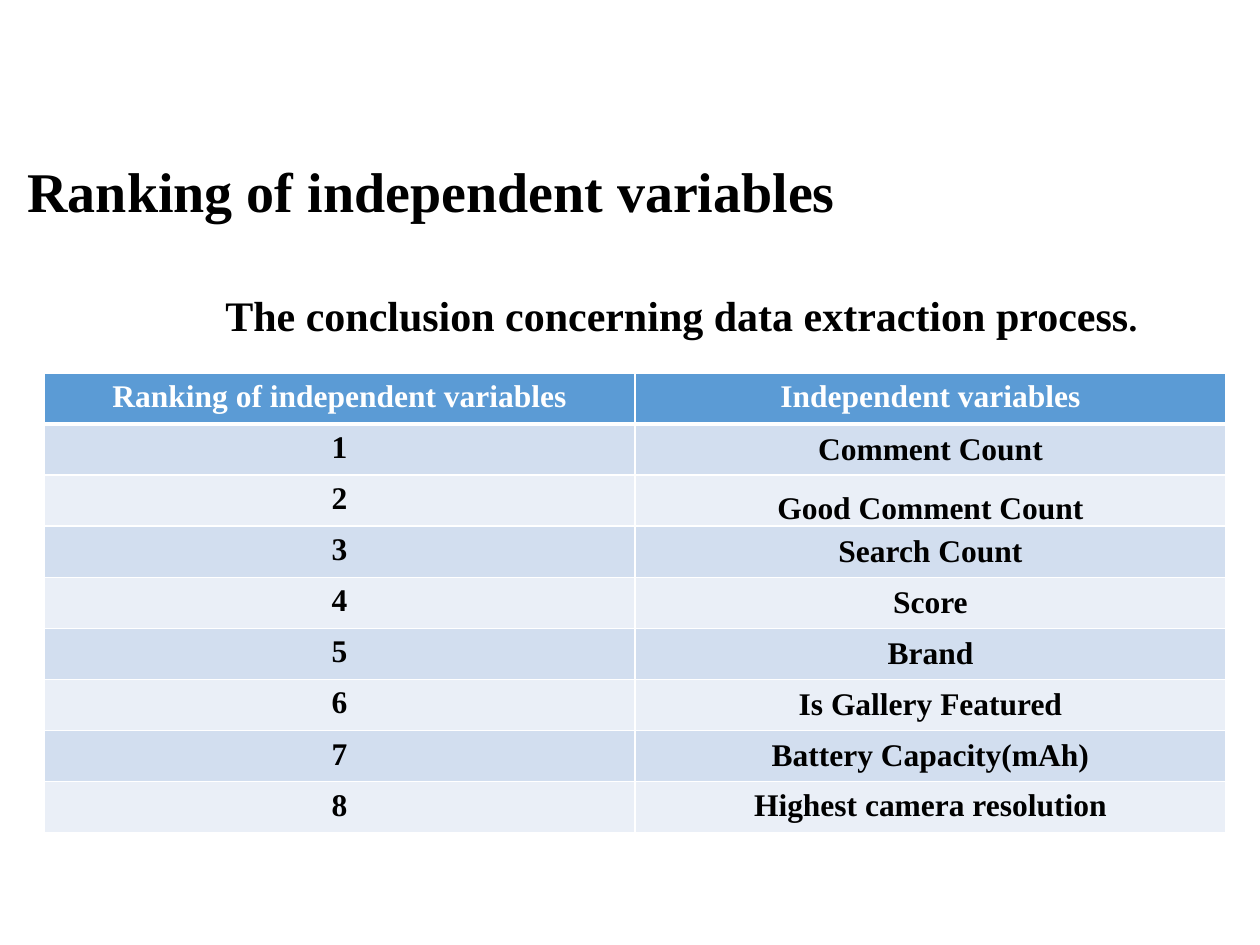
from dataclasses import dataclass

from lxml.etree import SubElement
from pptx import Presentation
from pptx.dml.color import RGBColor
from pptx.enum.text import MSO_ANCHOR, PP_ALIGN
from pptx.oxml.ns import qn
from pptx.util import Inches, Pt


@dataclass(frozen=True)
class Theme:
    """Colours, typeface and type sizes of the deck."""
    font: str = "Times New Roman"
    ink: str = "000000"
    paper: str = "FFFFFF"
    header: str = "5B9BD5"
    bands: tuple = ("D2DEEF", "EAEFF7")
    title: int = 32
    subtitle: int = 24
    stop: int = 20
    body: int = 18
    thin: int = 1
    thick: int = 3


class SlideBuilder:
    """Places elements on a page with a grid of 100 columns and 75 rows."""

    def __init__(self, theme):
        """Open a deck with one blank page."""
        self.theme = theme
        self.deck = Presentation()
        self.deck.slide_width, self.deck.slide_height = Inches(10), Inches(7.5)
        self.page = self.deck.slides.add_slide(self.deck.slide_layouts[6])

    def place(self, *units):
        """Turn grid units into lengths."""
        column, row = self.deck.slide_width / 100, self.deck.slide_height / 75
        return [round(unit * step) for unit, step in zip(units, (column, row) * 2)]

    def add_span(self, para, text, size, color):
        """Add one bold span to a paragraph."""
        span = para.add_run()
        span.text = text
        formats = {"name": self.theme.font, "size": Pt(size), "bold": True}
        for name, value in formats.items():
            setattr(span.font, name, value)
        span.font.color.rgb = RGBColor.from_string(color)

    def text(self, area, spans, anchor=MSO_ANCHOR.TOP, spacing=1.0):
        """Add a text box holding one line of (text, size) spans."""
        frame = self.page.shapes.add_textbox(*self.place(*area)).text_frame
        frame.word_wrap, frame.vertical_anchor = True, anchor
        para = frame.paragraphs[0]
        para.line_spacing = spacing
        for words, size in spans:
            self.add_span(para, words, size, self.theme.ink)

    def borders(self, cell, top, bottom):
        """Draw the four borders of a cell."""
        thin = self.theme.thin
        properties = cell._tc.get_or_add_tcPr()
        for side, width in {"L": thin, "R": thin, "T": top, "B": bottom}.items():
            line = SubElement(properties, qn(f"a:ln{side}"), w=str(int(Pt(width))))
            fill = SubElement(line, qn("a:solidFill"))
            SubElement(fill, qn("a:srgbClr"), val=self.theme.paper)

    def cell(self, cell, text, color, fill, formats, edges):
        """Fill, frame and label one table cell."""
        self.borders(cell, *edges)
        cell.fill.solid()
        cell.fill.fore_color.rgb = RGBColor.from_string(fill)
        for name, value in formats.items():
            setattr(cell, name, value)
        para = cell.text_frame.paragraphs[0]
        para.alignment = PP_ALIGN.CENTER
        self.add_span(para, text, self.theme.body, color)

    def ranking(self, area, headings, names, anchors):
        """Add a banded table that numbers the names from one."""
        theme = self.theme
        rows = [headings] + [(str(rank), name) for rank, name in enumerate(names, 1)]
        table = self.page.shapes.add_table(
            len(rows), len(headings), *self.place(*area)).table
        for index, row in enumerate(rows):
            color = theme.ink if index else theme.paper
            fill = theme.bands[(index - 1) % 2] if index else theme.header
            edges = (theme.thick if index == 1 else theme.thin,
                     theme.thin if index else theme.thick)
            for column, text in enumerate(row):
                formats = {}
                if column and 0 < index < len(names):
                    formats = {"margin_left": Inches(0.07), "margin_right": Inches(0.07),
                               "margin_top": 0, "margin_bottom": 0,
                               "vertical_anchor": anchors.get(text, MSO_ANCHOR.MIDDLE)}
                self.cell(table.cell(index, column), text, color, fill, formats, edges)


def main():
    """Build the ranking slide."""
    theme = Theme()
    builder = SlideBuilder(theme)
    builder.text((1.2, 9.2, 90, 12.5), [("Ranking of independent variables", theme.title)],
                 MSO_ANCHOR.MIDDLE, 0.9)
    builder.ranking(
        (3.5, 29.6, 93.8, 36.5),
        ("Ranking of independent variables", "Independent variables"),
        ["Comment Count", "Good Comment Count", "Search Count", "Score", "Brand",
         "Is Gallery Featured", "Battery Capacity(mAh)", "Highest camera resolution"],
        {"Good Comment Count": MSO_ANCHOR.BOTTOM})
    builder.text((16.9, 22.5, 75.6, 5),
                 [("The conclusion concerning data extraction process", theme.subtitle),
                  (".", theme.stop)])
    builder.deck.save("out.pptx")


if __name__ == "__main__":
    main()
